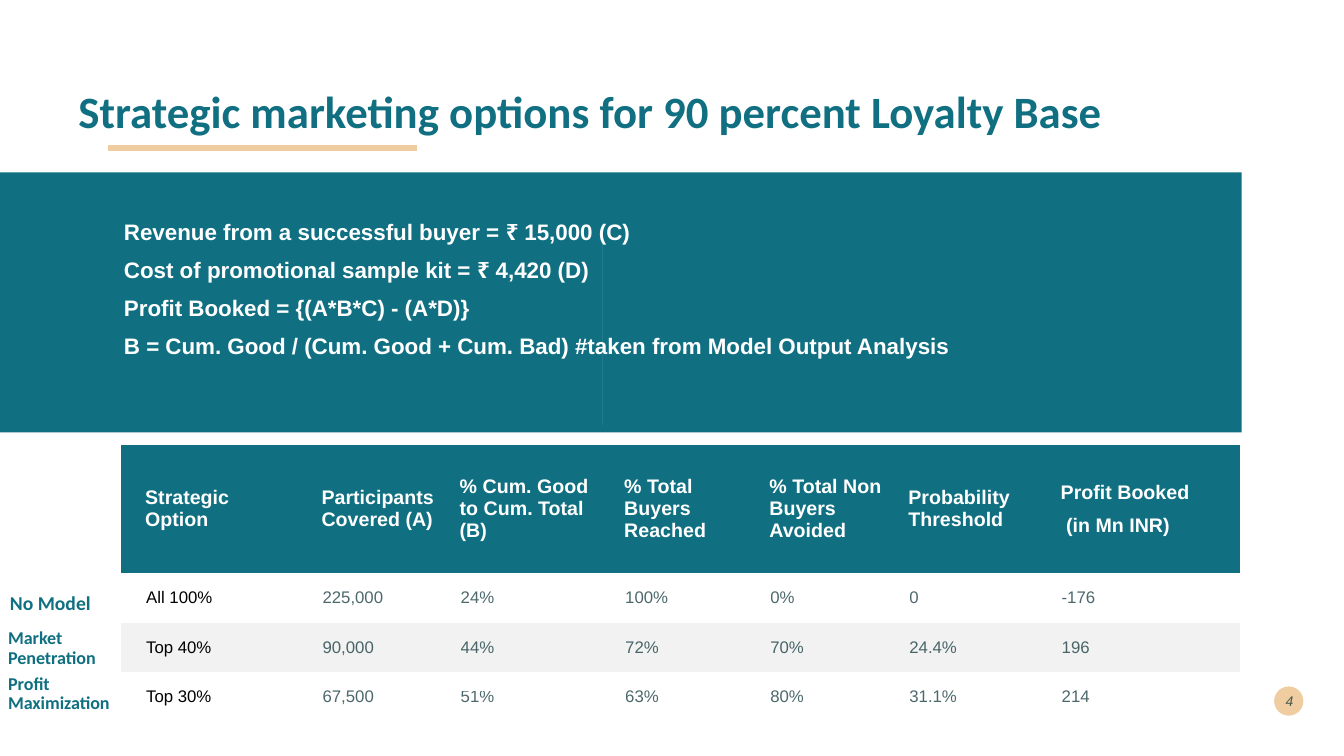
from lxml.etree import SubElement
from pptx import Presentation
from pptx.dml.color import RGBColor
from pptx.enum.shapes import MSO_CONNECTOR, MSO_SHAPE
from pptx.enum.text import MSO_ANCHOR, PP_ALIGN
from pptx.oxml.ns import qn
from pptx.util import Pt

TEAL = RGBColor(0x10, 0x70, 0x82)
SAND = RGBColor(0xF0, 0xCD, 0xA1)
INK = RGBColor(0x00, 0x29, 0x2E)
MIST = RGBColor(0xE0, 0xF0, 0xF3)
STRIPE = RGBColor(0xF2, 0xF2, 0xF2)
WHITE = RGBColor(0xFF, 0xFF, 0xFF)
BLACK = RGBColor(0x00, 0x00, 0x00)

PLAIN_TABLE_STYLE = "{2D5ABB26-0587-4C30-8999-92F81FD0307C}"
TITLE_FONT = {"name": "Calibri", "size": Pt(32), "bold": True}
FORMULA_FONT = {"name": "Arial", "size": Pt(16), "bold": True}
NUMBER_FONT = {"name": "Arial", "size": Pt(10), "italic": True}
HEADER_FONT = {"name": "Arial", "size": Pt(14), "bold": True}
BODY_FONT = {"name": "Arial", "size": Pt(12), "bold": False}
TIGHT = {"line_spacing": 0.9}

FORMULAS = [
    "Revenue from a successful buyer = ₹ 15,000 (C)",
    "Cost of promotional sample kit = ₹ 4,420 (D)",
    "Profit Booked = {(A*B*C) - (A*D)}",
    "B = Cum. Good / (Cum. Good + Cum. Bad) #taken from Model Output Analysis",
]
HEADERS = [
    ["Strategic Option"],
    ["Participants Covered (A)"],
    ["% Cum. Good to Cum. Total (B)"],
    ["% Total Buyers Reached"],
    ["% Total Non Buyers Avoided"],
    ["Probability Threshold"],
    ["Profit Booked", "(in Mn INR)"],
]
OPTIONS = [
    ["All 100%", "225,000", "24%", "100%", "0%", "0", "-176"],
    ["Top 40%", "90,000", "44%", "72%", "70%", "24.4%", "196"],
    ["Top 30%", "67,500", "51%", "63%", "80%", "31.1%", "214"],
]
COLUMN_WIDTHS = [126, 98.7, 117.5, 103.7, 99.3, 108.8, 145.6]
HEADER_HEIGHT = 91.8
OPTION_HEIGHT = 35.4
ROW_LABELS = [
    ("No Model", 409.7, 80, 7.2, 14),
    ("Market Penetration", 441.4, 87, 5.8, 12.9),
    ("Profit Maximization", 473.8, 100, 5.8, 12.9),
]


def apply_format(target, values):
    """Set each named attribute of the target."""
    for name, value in values.items():
        setattr(target, name, value)


def set_opacity(fill, percent):
    """Make a solid fill partly transparent."""
    color = fill._xPr.find(qn("a:solidFill"))[0]
    SubElement(color, qn("a:alpha"), val=str(percent * 1000))


def write_lines(text_frame, lines, font, color, spacing, opacity=100):
    """Write one formatted paragraph per line of text."""
    for index, line in enumerate(lines):
        paragraph = text_frame.paragraphs[0] if index == 0 else text_frame.add_paragraph()
        apply_format(paragraph, spacing)
        run = paragraph.add_run()
        run.text = line
        apply_format(run.font, font)
        run.font.color.rgb = color
        if opacity < 100:
            set_opacity(run.font.fill, opacity)


def add_text(slide, box, lines, font, color, spacing, frame_format, opacity=100):
    """Add a wrapping text box."""
    text_frame = slide.shapes.add_textbox(*map(Pt, box)).text_frame
    apply_format(text_frame, {"word_wrap": True, **frame_format})
    write_lines(text_frame, lines, font, color, spacing, opacity)


def add_block(slide, kind, box, color):
    """Add a borderless filled shape."""
    shape = slide.shapes.add_shape(kind, *map(Pt, box))
    shape.shadow.inherit = False
    shape.fill.solid()
    shape.fill.fore_color.rgb = color
    shape.line.fill.background()


def add_rule(slide, start, end, color, width, opacity=100):
    """Add a straight line."""
    points = map(Pt, (*start, *end))
    connector = slide.shapes.add_connector(MSO_CONNECTOR.STRAIGHT, *points)
    connector.line.color.rgb = color
    connector.line.width = Pt(width)
    if opacity < 100:
        set_opacity(connector.line.fill, opacity)
    SubElement(connector._element.spPr, qn("a:effectLst"))


def fill_cell(cell, color, margins):
    """Set the fill, anchor and margins of a table cell."""
    if color is None:
        cell.fill.background()
    else:
        cell.fill.solid()
        cell.fill.fore_color.rgb = color
    sides = ("margin_left", "margin_top", "margin_right", "margin_bottom")
    apply_format(cell, dict(zip(sides, map(Pt, margins))))
    cell.vertical_anchor = MSO_ANCHOR.MIDDLE


def indent_cell(cell, points):
    """Indent every paragraph of a cell, one value per paragraph."""
    for paragraph, indent in zip(cell.text_frame.paragraphs, points):
        paragraph._p.get_or_add_pPr().set("marL", str(Pt(indent)))


def add_options_table(slide):
    """Add the table of strategic options."""
    box = (86.4, 317.5, sum(COLUMN_WIDTHS), HEADER_HEIGHT + OPTION_HEIGHT * len(OPTIONS))
    frame = slide.shapes.add_table(len(OPTIONS) + 1, len(HEADERS), *map(Pt, box))
    table = frame.table
    apply_format(table, {"first_row": False, "horz_banding": False})
    table._tbl.tblPr.find(qn("a:tableStyleId")).text = PLAIN_TABLE_STYLE
    for column, width in zip(table.columns, COLUMN_WIDTHS):
        column.width = Pt(width)
    for index, row in enumerate(table.rows):
        row.height = Pt(OPTION_HEIGHT if index else HEADER_HEIGHT)
    for column, lines in enumerate(HEADERS):
        cell = table.cell(0, column)
        fill_cell(cell, TEAL, (0, 0, 0, 0))
        write_lines(cell.text_frame, lines, HEADER_FONT, WHITE, {"space_before": Pt(7.8)})
        indent_cell(cell, (17.3, 21.2))
    for row, values in enumerate(OPTIONS, 1):
        for column, value in enumerate(values):
            cell = table.cell(row, column)
            fill_cell(cell, STRIPE if row % 2 == 0 else None, (0, 3.6, 7.2, 3.6))
            color, opacity = (INK, 70) if column else (BLACK, 100)
            spacing = {"space_before": Pt(3.4)}
            write_lines(cell.text_frame, [value], BODY_FONT, color, spacing, opacity)
            indent_cell(cell, (18,))


def main():
    """Build and save the slide."""
    presentation = Presentation()
    apply_format(presentation, {"slide_width": Pt(960), "slide_height": Pt(540)})
    slide = presentation.slides.add_slide(presentation.slide_layouts[6])
    middle = {"vertical_anchor": MSO_ANCHOR.MIDDLE}

    add_block(slide, MSO_SHAPE.OVAL, (910.1, 490.3, 20.9, 20.9), SAND)
    add_block(slide, MSO_SHAPE.RECTANGLE, (0, 123.1, 887, 185.8), TEAL)
    add_text(slide, (902.9, 486, 28.1, 28.8), ["4"], NUMBER_FONT, INK,
             {"alignment": PP_ALIGN.RIGHT}, middle, 70)
    add_text(slide, (49, 29.5, 854.6, 104.4),
             ["Strategic marketing options for 90 percent Loyalty Base"],
             TITLE_FONT, TEAL, TIGHT, middle)
    add_options_table(slide)
    add_rule(slide, (77, 105.4), (298, 105.4), SAND, 4.32)
    add_text(slide, (77, 154.1, 679.7, 115.9), FORMULAS, FORMULA_FONT, WHITE,
             {**TIGHT, "space_before": Pt(10)}, {"margin_left": Pt(11.6)})
    add_rule(slide, (430.6, 164.9), (430.6, 303.8), MIST, 0.25, 25)
    for label, top, width, margin, size in ROW_LABELS:
        add_text(slide, (0, top, width, 43.9), [label],
                 {**TITLE_FONT, "size": Pt(size)}, TEAL, TIGHT,
                 {**middle, "margin_left": Pt(margin)})
    presentation.save("out.pptx")


if __name__ == "__main__":
    main()
